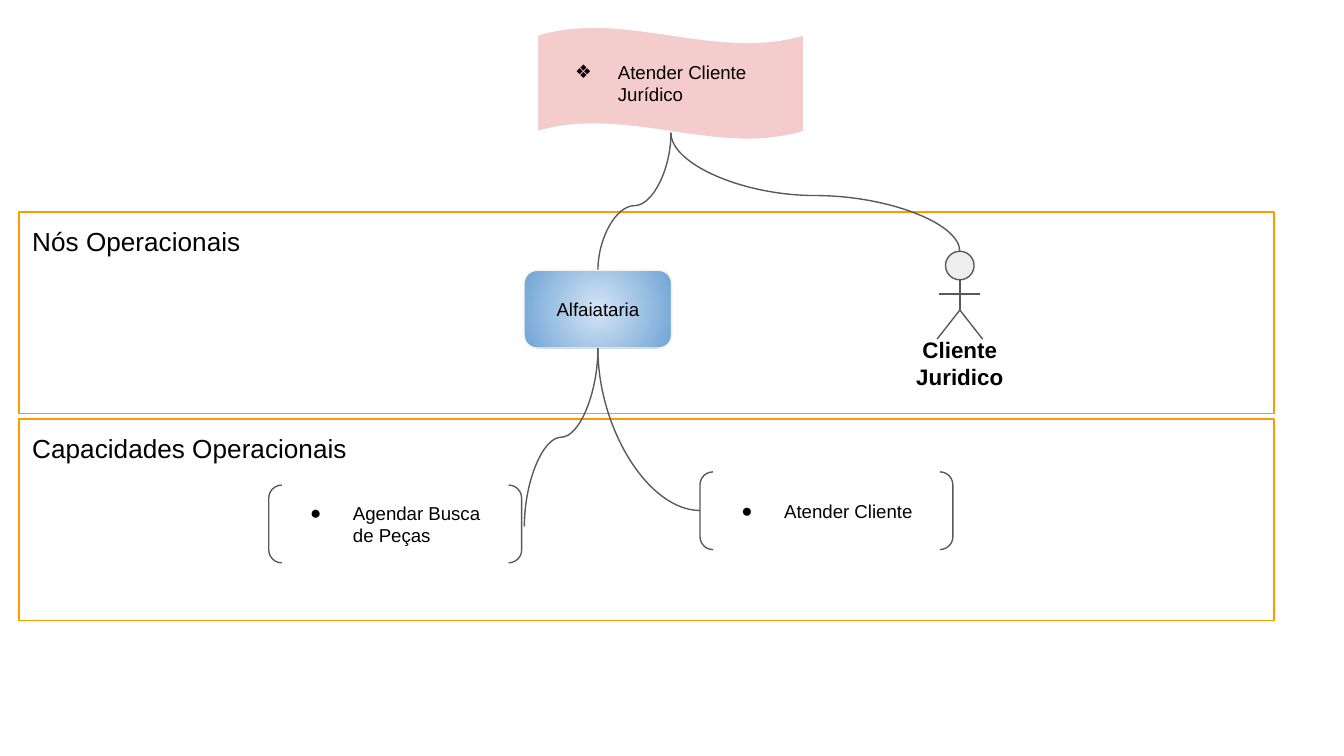
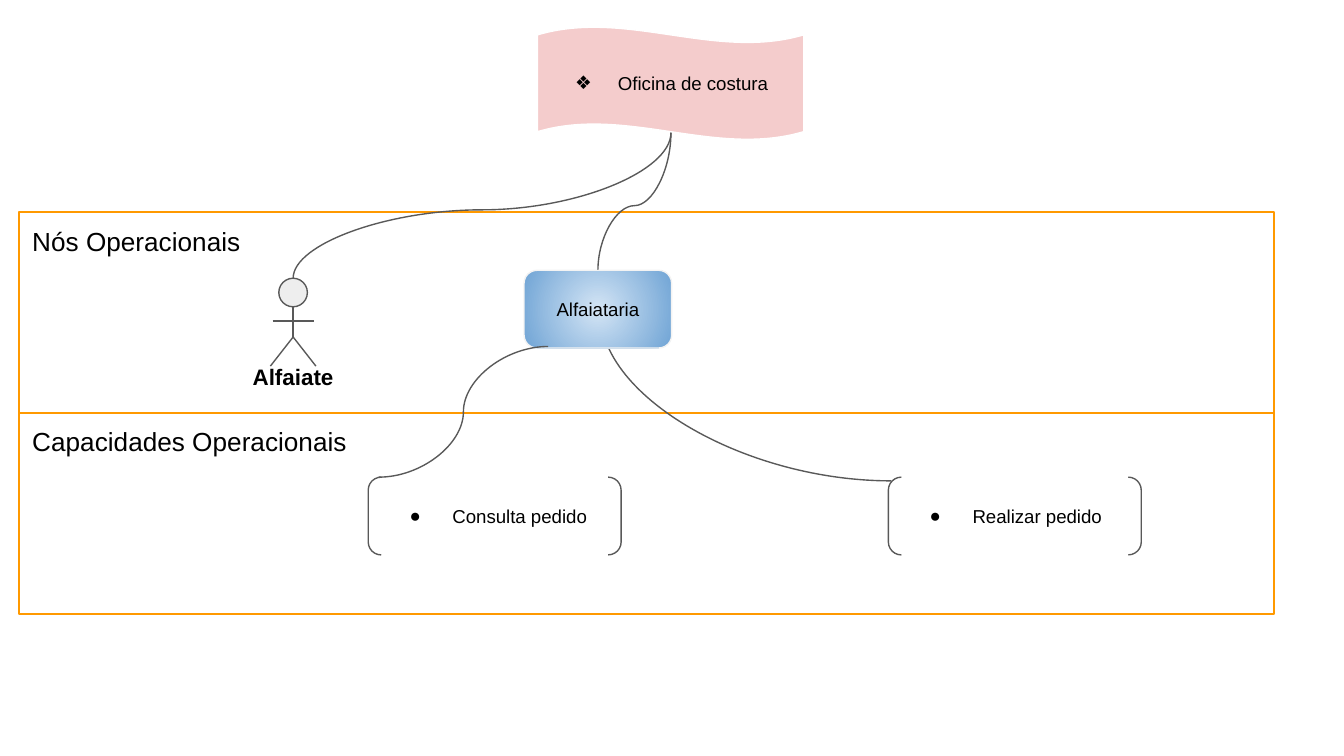
from dataclasses import dataclass

from lxml import etree
from pptx import Presentation
from pptx.dml.color import RGBColor
from pptx.enum.shapes import MSO_CONNECTOR, MSO_SHAPE
from pptx.enum.text import MSO_ANCHOR, PP_ALIGN
from pptx.oxml.ns import qn
from pptx.util import Cm, Pt

STRAIGHT, CURVE = MSO_CONNECTOR.STRAIGHT, MSO_CONNECTOR.CURVE
RECTANGLE, ROUNDED = MSO_SHAPE.RECTANGLE, MSO_SHAPE.ROUNDED_RECTANGLE
WAVE, BRACKETS = MSO_SHAPE.WAVE, MSO_SHAPE.DOUBLE_BRACKET
CIRCLE = MSO_SHAPE.FLOWCHART_CONNECTOR
TOP, MIDDLE = MSO_ANCHOR.TOP, MSO_ANCHOR.MIDDLE
LEFT, CENTER = PP_ALIGN.LEFT, PP_ALIGN.CENTER


@dataclass(frozen=True)
class Theme:
    """Colours, font and type sizes shared by the slides."""
    font: str = "Arial"
    text: str = "000000"
    band: str = "FF9900"
    line: str = "595959"
    head: str = "EEEEEE"
    mission: str = "F4CCCC"
    mission_line: str = "FFFFFF"
    node_inner: str = "D4E5F5"
    node_outer: str = "70A4D5"
    node_line: str = "F3F3F3"
    band_size: int = 14
    actor_size: int = 12
    body_size: int = 10
    line_width: float = 0.75


# Shared places, in centimetres
MISSION_FOOT = (12.68, 2.51)
NODE_TOP = (11.3, 5.11)
NODE_FOOT = (11.3, 6.58)
NODE_WIDTH, BOX_HEIGHT = 2.79, 1.47
BRACKET_WIDTH = 4.78


def color(value):
    """Turn a hex string into a colour."""
    return RGBColor.from_string(value)


class Diagram:
    """Draws the elements of an operational diagram on the current slide."""

    def __init__(self, presentation, theme):
        """Keep the presentation and its style."""
        self.presentation = presentation
        self.theme = theme
        self.slide = None

    def new_slide(self):
        """Start a blank slide."""
        layout = self.presentation.slide_layouts[6]
        self.slide = self.presentation.slides.add_slide(layout)

    def outline(self, shape, value):
        """Give a shape or connector its thin line."""
        shape.line.color.rgb = color(value)
        shape.line.width = Pt(self.theme.line_width)

    def shape(self, kind, left, top, width, height, line, fill=None, shapes=None):
        """Add a preset shape without shadow."""
        shapes = shapes or self.slide.shapes
        shape = shapes.add_shape(kind, Cm(left), Cm(top), Cm(width), Cm(height))
        shape.shadow.inherit = False
        self.outline(shape, line)
        if fill:
            shape.fill.solid()
            shape.fill.fore_color.rgb = color(fill)
        else:
            shape.fill.background()
        return shape

    def set_text(self, shape, text, size, align=LEFT, anchor=MIDDLE, bullet=None, bold=False):
        """Put one styled paragraph into a shape."""
        frame = shape.text_frame
        frame.word_wrap = True
        frame.vertical_anchor = anchor
        frame.margin_left = frame.margin_right = Cm(0.25)
        frame.margin_top = frame.margin_bottom = Cm(0.25)
        paragraph = frame.paragraphs[0]
        paragraph.text = text
        paragraph.alignment = align
        if bullet:
            self.add_bullet(paragraph, bullet)
        font = paragraph.font
        font.name, font.size, font.bold = self.theme.font, Pt(size), bold
        font.color.rgb = color(self.theme.text)

    def add_bullet(self, paragraph, character):
        """Give a paragraph a hanging bullet."""
        properties = paragraph._p.get_or_add_pPr()
        properties.set("marL", str(Cm(1.27)))
        properties.set("indent", str(Cm(-0.81)))
        bullet_color = etree.SubElement(properties, qn("a:buClr"))
        etree.SubElement(bullet_color, qn("a:srgbClr"), val=self.theme.text)
        etree.SubElement(properties, qn("a:buFont"), typeface=self.theme.font)
        etree.SubElement(properties, qn("a:buChar"), char=character)

    def band(self, text, top):
        """Add a titled frame across the slide."""
        frame = self.shape(RECTANGLE, 0.36, top, 23.72, 3.81, self.theme.band)
        self.set_text(frame, text, self.theme.band_size, anchor=TOP)

    def mission(self, text):
        """Add the waving flag at the top."""
        theme = self.theme
        flag = self.shape(WAVE, 10.16, 0.51, 5.03, 2.13, theme.mission_line, theme.mission)
        flag.adjustments[0] = 0.07
        self.set_text(flag, text, theme.body_size, bullet="❖")

    def node(self, text):
        """Add the rounded node with its radial gradient."""
        theme = self.theme
        center, top = NODE_TOP
        node = self.shape(ROUNDED, center - NODE_WIDTH / 2, top, NODE_WIDTH, BOX_HEIGHT,
                          theme.node_line)
        node.fill.gradient()
        for stop, value in zip(node.fill.gradient_stops, (theme.node_inner, theme.node_outer)):
            stop.color.rgb = color(value)
        gradient = node._element.spPr.find(qn("a:gradFill"))
        circle = etree.Element(qn("a:path"), path="circle")
        etree.SubElement(circle, qn("a:fillToRect"), l="50000", t="50000", r="50000", b="50000")
        gradient.replace(gradient.find(qn("a:lin")), circle)
        self.set_text(node, text, theme.body_size, align=CENTER)

    def capability(self, text, left, top):
        """Add a bulleted text between brackets."""
        box = self.shape(BRACKETS, left, top, BRACKET_WIDTH, BOX_HEIGHT, self.theme.line)
        self.set_text(box, text, self.theme.body_size, bullet="●")

    def connector(self, kind, start, end, shapes=None):
        """Add a connector without shadow."""
        shapes = shapes or self.slide.shapes
        points = [Cm(value) for value in (*start, *end)]
        connector = shapes.add_connector(kind, *points)
        self.outline(connector, self.theme.line)
        etree.SubElement(connector._element.spPr, qn("a:effectLst"))
        return connector

    def falling_curve(self, start, end, bend=None):
        """Add a curve that leaves downwards; without a bend it is a quarter turn."""
        (x1, y1), (x2, y2) = start, end
        across, down = abs(x2 - x1), y2 - y1
        left, top = (x1 + x2 - down) / 2, (y1 + y2 - across) / 2
        rightwards = x2 > x1
        ends = (left, top), (left + down, top + across)
        if rightwards:
            ends = (left + down, top), (left, top + across)
        curve = self.connector(CURVE, *ends)
        properties = curve._element.spPr
        turn = 270 if rightwards else 90
        properties.find(qn("a:xfrm")).set("rot", str(turn * 60000))
        geometry = properties.find(qn("a:prstGeom"))
        if bend is None:
            geometry.set("prst", "curvedConnector2")
        else:
            etree.SubElement(geometry.find(qn("a:avLst")), qn("a:gd"),
                             name="adj1", fmla=f"val {round(bend * 100000)}")

    def actor(self, text, center, top, label_width):
        """Add a grouped stick figure with its name."""
        theme = self.theme
        shapes = self.slide.shapes.add_group_shape().shapes
        head, hip, foot = 0.54, top + 1.11, top + 1.66
        arms = top + 0.81
        self.shape(CIRCLE, center - head / 2, top, head, head, theme.line, theme.head, shapes)
        limbs = [
            ((center, top + head), (center, hip)),
            ((center - 0.39, arms), (center + 0.39, arms)),
            ((center, hip), (center - 0.43, foot)),
            ((center, hip), (center + 0.43, foot)),
        ]
        for start, end in limbs:
            self.connector(STRAIGHT, start, end, shapes)
        label = shapes.add_textbox(Cm(center - label_width / 2), Cm(top + 1.36),
                                   Cm(label_width), Cm(0.97))
        self.set_text(label, text, theme.actor_size, align=CENTER, anchor=TOP, bold=True)

    def frame(self, mission, capabilities_top):
        """Add what every slide opens with: bands, flag and the curve to the node."""
        self.new_slide()
        self.band("Nós Operacionais", 4.01)
        self.band("Capacidades Operacionais", capabilities_top)
        self.mission(mission)
        self.falling_curve(MISSION_FOOT, NODE_TOP, 0.53)


def client_slide(diagram):
    """Draw how the corporate client is served."""
    client = (18.14, 4.75)
    diagram.frame("Atender Cliente Jurídico", 7.92)
    diagram.actor("Cliente Juridico", *client, 2.29)
    diagram.falling_curve(MISSION_FOOT, client, 0.53)
    diagram.falling_curve(NODE_FOOT, (13.23, 9.65))
    diagram.capability("Atender Cliente", 13.23, 8.92)
    diagram.node("Alfaiataria")
    diagram.falling_curve(NODE_FOOT, (9.91, 9.95), 0.5)
    diagram.capability("Agendar Busca de Peças", 5.08, 9.17)


def workshop_slide(diagram):
    """Draw the sewing workshop."""
    tailor = (5.54, 5.26)
    capability_top = 9.02
    diagram.frame("Oficina de costura", 7.8)
    diagram.actor("Alfaiate", *tailor, 2.84)
    diagram.falling_curve(MISSION_FOOT, tailor, 0.53)
    diagram.falling_curve((11.35, 5.92), (16.84, 9.09))
    diagram.capability("Realizar pedido", 16.79, capability_top)
    diagram.node("Alfaiataria")
    diagram.connector(CURVE, (10.36, 6.55), (7.16, capability_top))
    diagram.capability("Consulta pedido", 6.96, capability_top)


def main():
    """Build and save the presentation."""
    presentation = Presentation()
    presentation.slide_width, presentation.slide_height = Cm(25.4), Cm(14.29)
    diagram = Diagram(presentation, Theme())
    client_slide(diagram)
    workshop_slide(diagram)
    presentation.save("out.pptx")


main()
